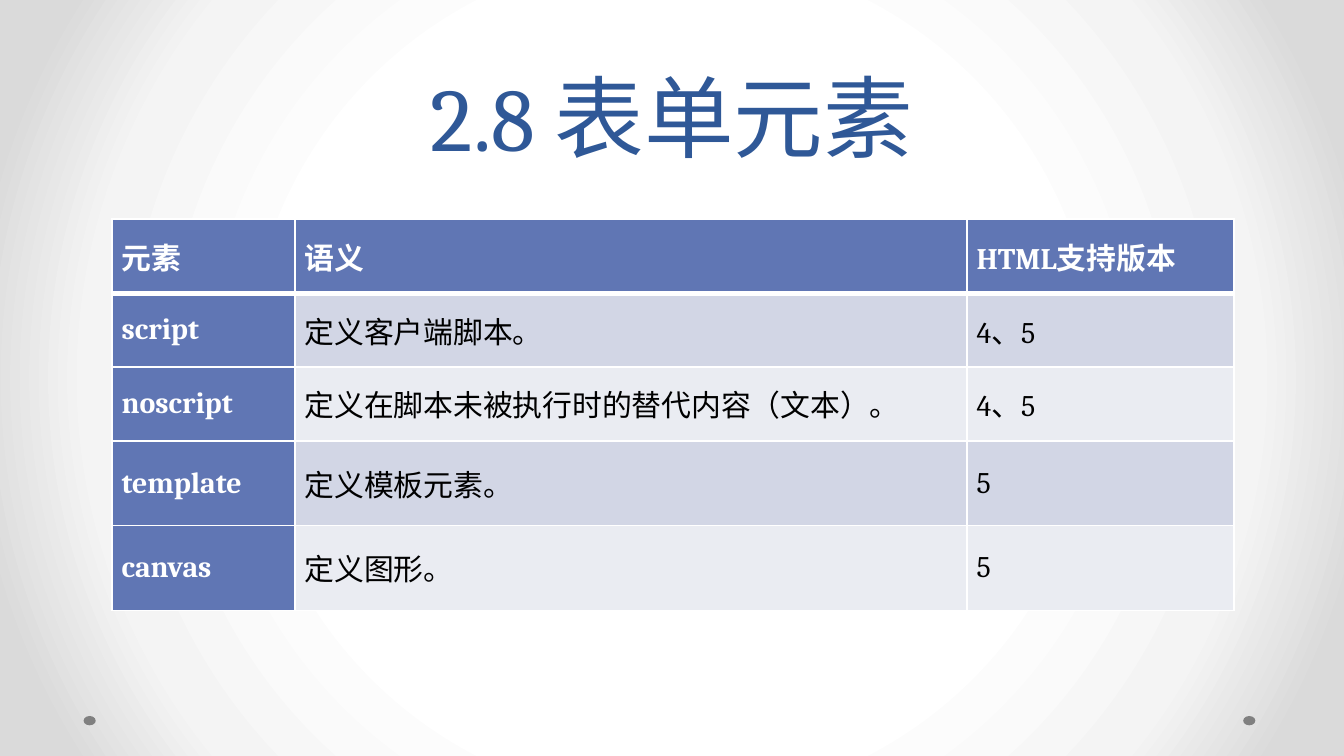
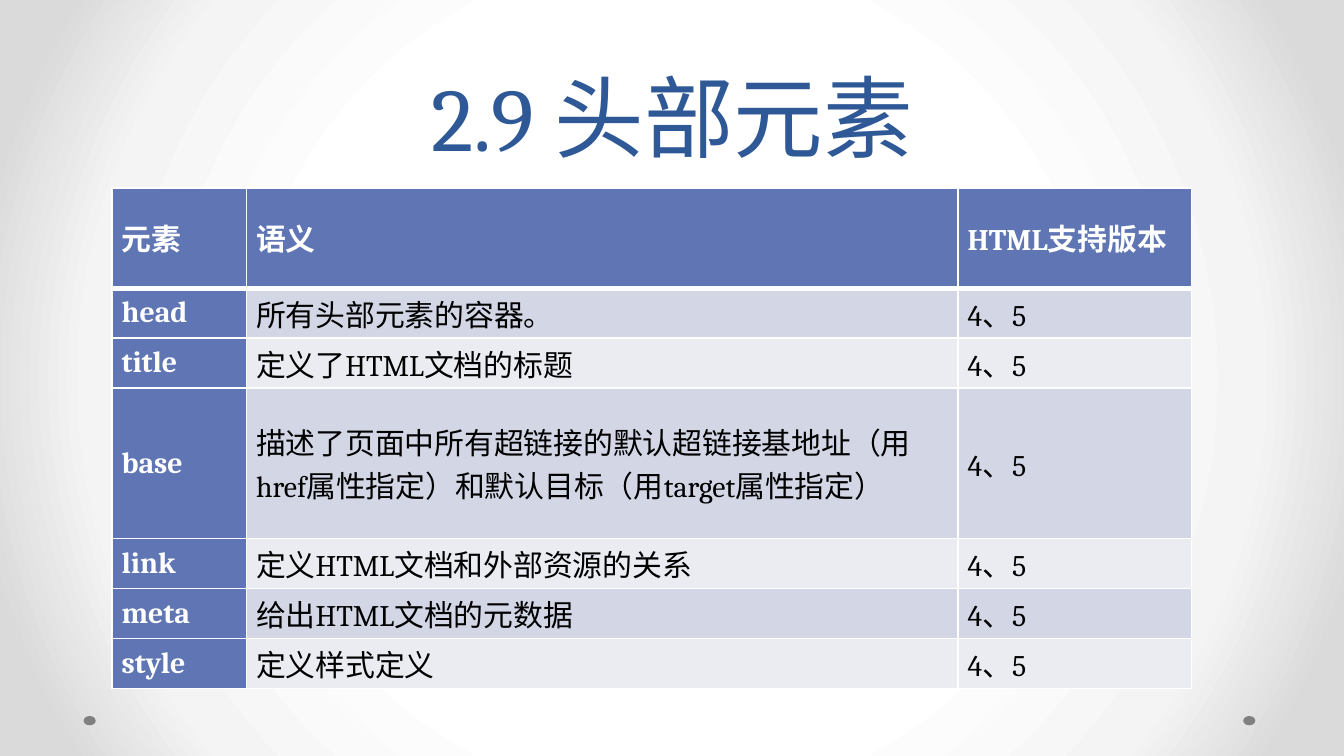
from lxml.etree import SubElement
from pptx import Presentation
from pptx.dml.color import RGBColor
from pptx.enum.shapes import MSO_SHAPE
from pptx.enum.text import MSO_ANCHOR, PP_ALIGN
from pptx.oxml import parse_xml
from pptx.oxml.ns import nsdecls, qn
from pptx.util import Pt

COLORS = {
    "title": "2F5897", "accent": "6076B4", "white": "FFFFFF", "text": "000000",
    "band_dark": "D2D6E5", "band_light": "EAECF2", "dot": "808080",
    "glow_mid": "F4F4F4", "glow_edge": "DADADA",
}
FONT = "Cambria"
GLOW = [(50, "white"), (76, "glow_mid"), (92, "glow_edge")]
DOTS = [(666, 383.6), (44.8, 383.6)]
HEADER = ("元素", "语义", "HTML支持版本")
BOTH = "4、5"

SECTIONS = [
    {
        "title": "2.8 表单元素",
        "top": 117.4,
        "columns": (98, 360, 143.2),
        "row_heights": (39.6, 39.6, 39.6, 45.4, 45.4),
        "elements": [
            ("script", "定义客户端脚本。", BOTH),
            ("noscript", "定义在脚本未被执行时的替代内容（文本）。", BOTH),
            ("template", "定义模板元素。", "5"),
            ("canvas", "定义图形。", "5"),
        ],
    },
    {
        "title": "2.9 头部元素",
        "top": 100.6,
        "columns": (72, 381.2, 125.2),
        "row_heights": (53.8, 26.8, 26.8, 80.6, 26.8, 26.8, 26.8),
        "elements": [
            ("head", "所有头部元素的容器。", BOTH),
            ("title", "定义了HTML文档的标题", BOTH),
            ("base", "描述了页面中所有超链接的默认超链接基地址（用href属性指定）"
                     "和默认目标（用target属性指定）", BOTH),
            ("link", "定义HTML文档和外部资源的关系", BOTH),
            ("meta", "给出HTML文档的元数据", BOTH),
            ("style", "定义样式定义", BOTH),
        ],
    },
]


def rgb(name):
    return RGBColor.from_string(COLORS[name])


def write(frame, text, size=16, color="text", bold=False, align=None, spacing=None):
    frame.word_wrap = True
    paragraph = frame.paragraphs[0]
    paragraph.alignment = align
    paragraph.line_spacing = spacing
    run = paragraph.add_run()
    run.text = text
    run.font.name = FONT
    run.font.size = Pt(size)
    run.font.bold = bold
    run.font.color.rgb = rgb(color)


def paint_glow(slide):
    fill = slide.background.fill
    fill.solid()
    stops = "".join(
        f'<a:gs pos="{percent * 1000}"><a:srgbClr val="{COLORS[name]}"/></a:gs>'
        for percent, name in GLOW)
    gradient = parse_xml(
        f'<a:gradFill {nsdecls("a")} rotWithShape="1"><a:gsLst>{stops}</a:gsLst>'
        '<a:path path="circle"><a:fillToRect l="50000" t="50000" r="50000" b="50000"/>'
        '</a:path></a:gradFill>')
    solid = next(slide.element.iter(qn("a:solidFill")))
    solid.getparent().replace(solid, gradient)


def add_frame(slide, title):
    paint_glow(slide)
    for left, top in DOTS:
        dot = slide.shapes.add_shape(MSO_SHAPE.OVAL, Pt(left), Pt(top), Pt(6.5), Pt(5))
        dot.shadow.inherit = False
        dot.fill.solid()
        dot.fill.fore_color.rgb = rgb("dot")
        dot.line.fill.background()
    heading = slide.shapes.add_textbox(Pt(36), Pt(0), Pt(648), Pt(94.5)).text_frame
    heading.vertical_anchor = MSO_ANCHOR.BOTTOM
    write(heading, title, size=48, color="title", align=PP_ALIGN.CENTER, spacing=Pt(58))


def add_borders(cell, **widths):
    properties = cell._tc.get_or_add_tcPr()
    for side in "LRTB":
        line = SubElement(properties, qn(f"a:ln{side}"), w=str(Pt(widths.get(side, 1))))
        color = SubElement(SubElement(line, qn("a:solidFill")), qn("a:srgbClr"))
        color.set("val", COLORS["white"])


def add_element_table(slide, section):
    rows = [HEADER] + section["elements"]
    columns, heights = section["columns"], section["row_heights"]
    table = slide.shapes.add_table(
        len(rows), len(columns), Pt(60), Pt(section["top"]),
        Pt(sum(columns)), Pt(sum(heights))).table
    table.horz_banding = False
    table.first_row = False
    for column, width in zip(table.columns, columns):
        column.width = Pt(width)
    for r, (row, height) in enumerate(zip(rows, heights)):
        table.rows[r].height = Pt(height)
        for c, text in enumerate(row):
            cell = table.cell(r, c)
            heading = r == 0 or c == 0
            band = "band_dark" if r % 2 else "band_light"
            add_borders(cell, T=3 if r == 1 else 1, B=3 if r == 0 else 1)
            cell.fill.solid()
            cell.fill.fore_color.rgb = rgb("accent" if heading else band)
            cell.vertical_anchor = MSO_ANCHOR.MIDDLE
            cell.margin_left = cell.margin_right = Pt(5.2)
            cell.margin_top = cell.margin_bottom = 0
            write(cell.text_frame, text, bold=heading,
                  color="white" if heading else "text")


deck = Presentation()
deck.slide_width, deck.slide_height = Pt(720), Pt(405)
for section in SECTIONS:
    slide = deck.slides.add_slide(deck.slide_layouts[6])
    add_frame(slide, section["title"])
    add_element_table(slide, section)
deck.save("out.pptx")
